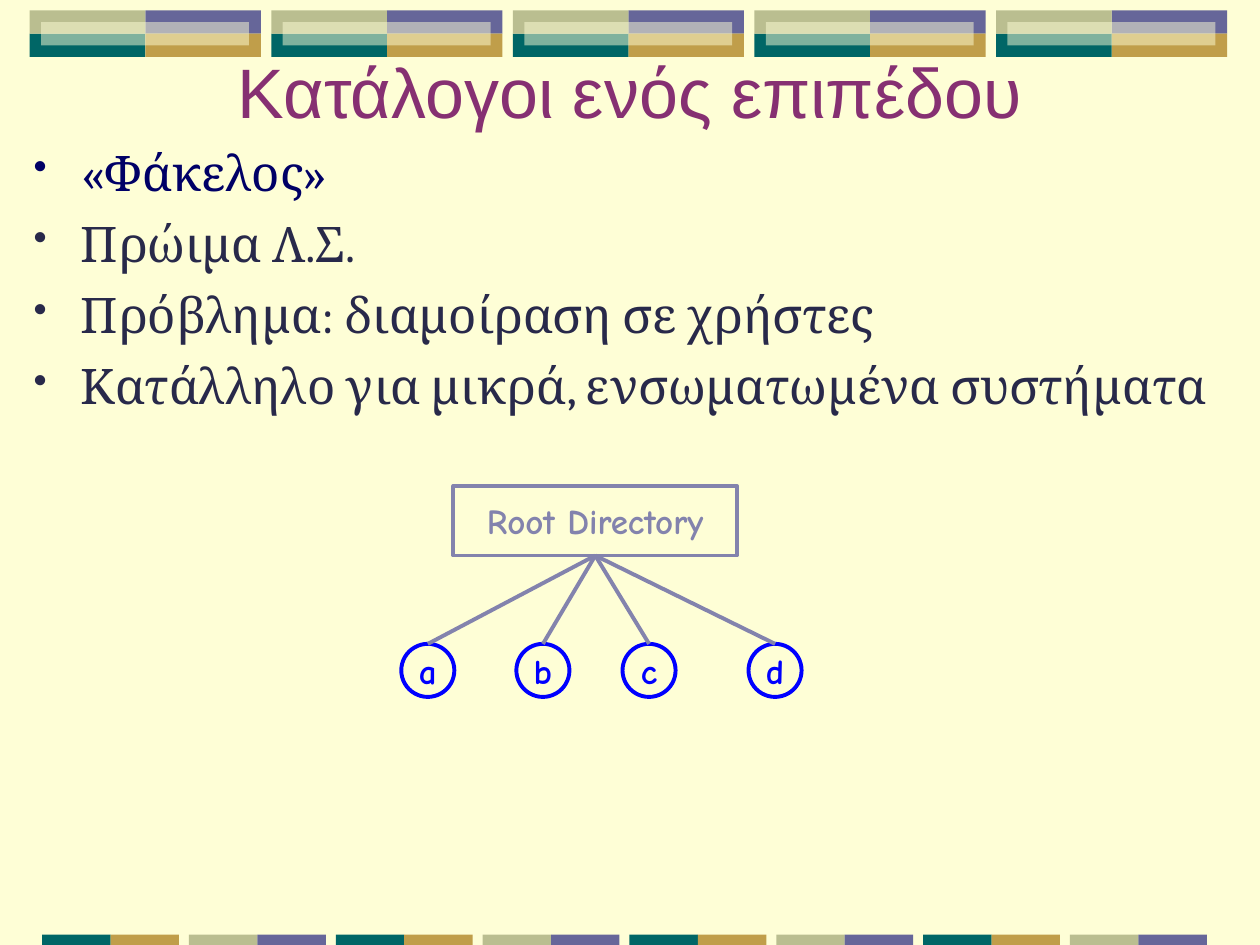
from lxml import etree
from pptx import Presentation
from pptx.dml.color import RGBColor
from pptx.enum.shapes import MSO_CONNECTOR, MSO_SHAPE
from pptx.enum.text import MSO_ANCHOR, PP_ALIGN
from pptx.oxml.ns import qn
from pptx.util import Cm, Pt

RECTANGLE, OVAL = MSO_SHAPE.RECTANGLE, MSO_SHAPE.OVAL
STRAIGHT = MSO_CONNECTOR.STRAIGHT
MIDDLE, CENTER = MSO_ANCHOR.MIDDLE, PP_ALIGN.CENTER
BOTTOM_SITE, TOP_SITE = 2, 0

CREAM = RGBColor(0xFE, 0xFE, 0xD6)
PURPLE = RGBColor(0x66, 0x66, 0x99)
GOLD = RGBColor(0xC0, 0x9E, 0x4A)
TEAL = RGBColor(0x00, 0x66, 0x66)
OLIVE = RGBColor(0xBA, 0xBE, 0x90)
NAVY = RGBColor(0x00, 0x00, 0x66)
INK = RGBColor(0x28, 0x29, 0x4A)
PLUM = RGBColor(0x86, 0x30, 0x72)
LAVENDER = RGBColor(0x83, 0x83, 0xAD)
BLUE = RGBColor(0x00, 0x00, 0xFF)

BULLETS = [
    ("«Φάκελος»", NAVY),
    ("Πρώιμα Λ.Σ.", INK),
    ("Πρόβλημα: διαμοίραση σε χρήστες", INK),
    ("Κατάλληλο για μικρά, ενσωματωμένα συστήματα", INK),
]
FILE_LEFTS = {"a": 8.09, "b": 10.41, "c": 12.55, "d": 15.09}


def add_block(slide, left, top, width, height, color, opacity=None):
    """Add a borderless rectangle; opacity is a percentage."""
    block = slide.shapes.add_shape(RECTANGLE, Cm(left), Cm(top), Cm(width), Cm(height))
    block.shadow.inherit = False
    block.line.fill.background()
    block.fill.solid()
    block.fill.fore_color.rgb = color
    if opacity is not None:
        color_element = block.fill._xPr.find(qn("a:solidFill"))[0]
        etree.SubElement(color_element, qn("a:alpha"), val=str(opacity * 1000))


def add_top_band(slide):
    width, height, top = 2.33, 0.47, 0.21
    for index in range(5):
        left = 0.6 + 4.87 * index
        for column, row, color in ((1, 0, PURPLE), (1, 1, GOLD), (0, 1, TEAL), (0, 0, OLIVE)):
            add_block(slide, left + column * width, top + row * height, width, height, color)
        add_block(slide, left + 0.23, top + height / 2, 4.19, height, CREAM, opacity=50)


def add_bottom_band(slide):
    width = 1.38
    for index in range(8):
        left = 0.85 + 2.96 * index
        colors = (OLIVE, PURPLE) if index % 2 else (TEAL, GOLD)
        for column, color in enumerate(colors):
            add_block(slide, left + column * width, 18.84, width, 0.21, color)


def add_run(paragraph, text, font_name, size, color, bold=False):
    run = paragraph.add_run()
    run.text = text
    run.font.name = font_name
    run.font.size = Pt(size)
    run.font.bold = bold
    run.font.color.rgb = color


def add_title(slide, text):
    title = slide.shapes.add_textbox(Cm(0.58), Cm(0.23), Cm(24.23), Cm(3.18))
    frame = title.text_frame
    frame.word_wrap = True
    frame.vertical_anchor = MIDDLE
    paragraph = frame.paragraphs[0]
    paragraph.alignment = CENTER
    add_run(paragraph, text, "Arial", 40, PLUM)


def set_bullet(paragraph, color):
    properties = paragraph._p.get_or_add_pPr()
    indent = Cm(0.95)
    properties.set("marL", str(indent))
    properties.set("indent", str(-indent))
    bullet_color = etree.SubElement(properties, qn("a:buClr"))
    etree.SubElement(bullet_color, qn("a:srgbClr"), val=str(color))
    etree.SubElement(properties, qn("a:buSzPct"), val="80000")
    etree.SubElement(properties, qn("a:buChar"), char="•")


def add_bullet_list(slide, items):
    body = slide.shapes.add_textbox(Cm(0.43), Cm(2.74), Cm(26.54), Cm(11.43))
    frame = body.text_frame
    frame.word_wrap = True
    for index, (text, color) in enumerate(items):
        paragraph = frame.add_paragraph() if index else frame.paragraphs[0]
        if index:
            paragraph.space_before = Pt(7)
        set_bullet(paragraph, color)
        add_run(paragraph, text, "Cambria", 28, color)


def add_node(slide, kind, left, top, width, height, label, color):
    """Add an outlined, labelled node of the directory tree."""
    node = slide.shapes.add_shape(kind, Cm(left), Cm(top), Cm(width), Cm(height))
    node.shadow.inherit = False
    node.fill.background()
    node.line.color.rgb = color
    node.line.width = Pt(2.25)
    frame = node.text_frame
    frame.word_wrap = False
    frame.vertical_anchor = MIDDLE
    paragraph = frame.paragraphs[0]
    paragraph.alignment = CENTER
    add_run(paragraph, label, "Comic Neue", 20, color, bold=True)
    return node


def add_branch(slide, parent, child):
    branch = slide.shapes.add_connector(STRAIGHT, 0, 0, 0, 0)
    branch.begin_connect(parent, BOTTOM_SITE)
    branch.end_connect(child, TOP_SITE)
    branch.line.color.rgb = LAVENDER
    branch.line.width = Pt(2.25)
    etree.SubElement(branch._element.spPr, qn("a:effectLst"))


def add_directory_tree(slide):
    root = add_node(slide, RECTANGLE, 9.14, 9.8, 5.72, 1.4, "Root Directory", LAVENDER)
    for name, left in FILE_LEFTS.items():
        file_node = add_node(slide, OVAL, left, 12.98, 1.07, 1.07, name, BLUE)
        add_branch(slide, root, file_node)


def main():
    presentation = Presentation()
    presentation.slide_width, presentation.slide_height = Cm(25.4), Cm(19.05)
    slide = presentation.slides.add_slide(presentation.slide_layouts[6])
    slide.background.fill.solid()
    slide.background.fill.fore_color.rgb = CREAM
    add_top_band(slide)
    add_bottom_band(slide)
    add_bullet_list(slide, BULLETS)
    add_title(slide, "Κατάλογοι ενός επιπέδου")
    add_directory_tree(slide)
    presentation.save("out.pptx")


if __name__ == "__main__":
    main()
